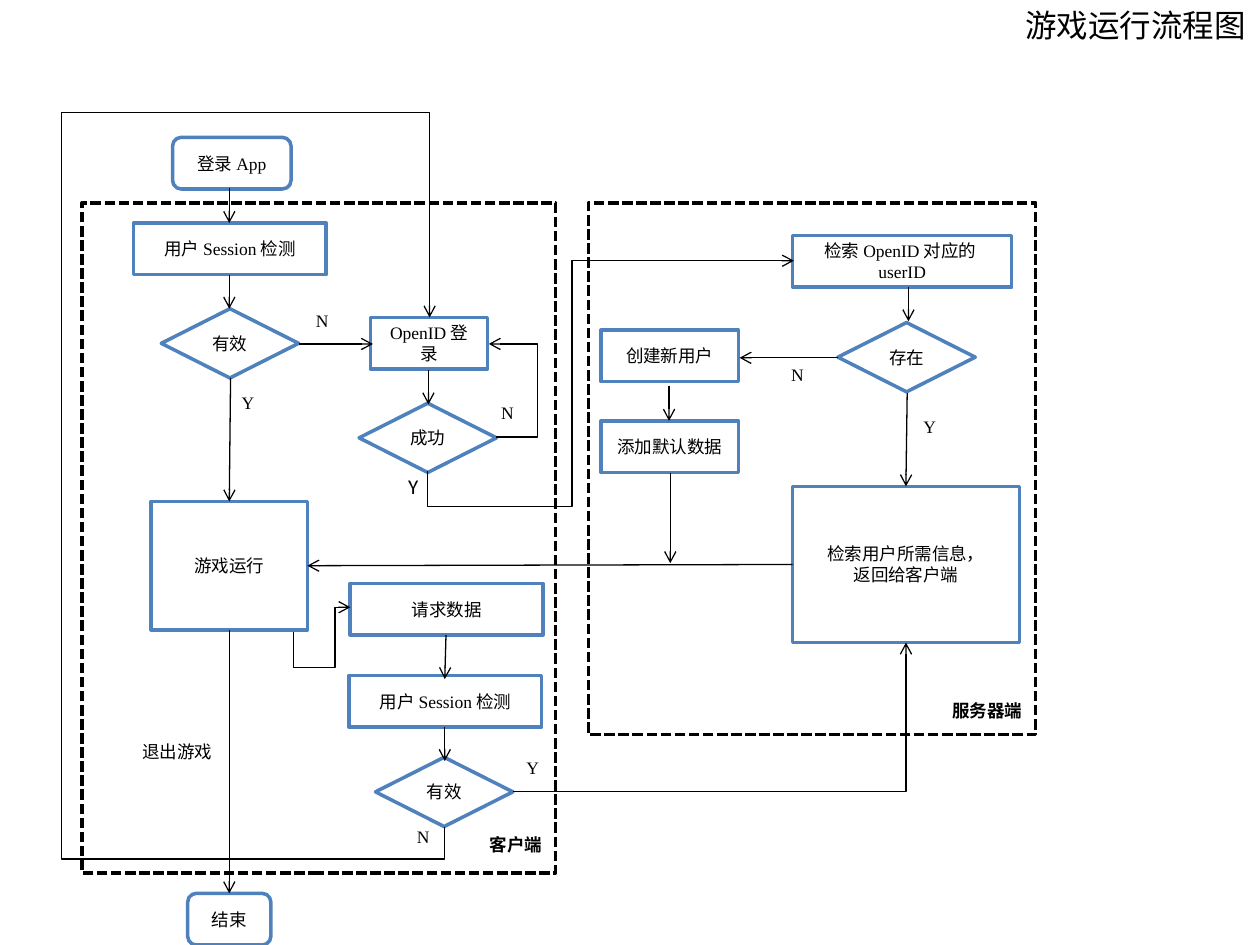
from dataclasses import dataclass
from itertools import groupby

from lxml import etree
from pptx import Presentation, util as u
from pptx.dml.color import RGBColor
from pptx.enum import dml, shapes, text
from pptx.oxml.ns import qn

COLS, ROWS = 100, 75
SHAPE = shapes.MSO_SHAPE


@dataclass(frozen=True)
class Theme:
    ink: RGBColor = RGBColor(0, 0, 0)
    paper: RGBColor = RGBColor(255, 255, 255)
    accent: RGBColor = RGBColor(0x4F, 0x81, 0xBD)
    body: str = "Calibri"
    latin: str = "Times New Roman"
    cjk: str = "Noto Sans CJK SC"
    title_size: float = 18
    label_size: float = 12
    node_size: float = 10
    outline: float = 2
    flow: float = 0.75


def write(tf, content, *, color, size, cjk, latin, align=None, bold=None):
    """Fill a text frame, giving Latin and Chinese runs their own fonts."""
    for i, line in enumerate(content.split("\n")):
        p = tf.add_paragraph() if i else tf.paragraphs[0]
        p.alignment = align
        for is_latin, chars in groupby(line, str.isascii):
            r = p.add_run()
            r.text = "".join(chars)
            r.font.name = latin if is_latin else cjk
            r.font.size = u.Pt(size)
            r.font.bold = bold
            r.font.color.rgb = color


class FlowChart:
    """Draws on one slide; all lengths are in columns and rows of the grid."""

    def __init__(self, prs, theme):
        self.theme = theme
        self.s = prs.slides.add_slide(prs.slide_layouts[6])
        self.col = prs.slide_width / COLS
        self.row = prs.slide_height / ROWS

    def place(self, x, y, w, h):
        return [round(v) for v in (x * self.col, y * self.row, w * self.col, h * self.row)]

    def shape(self, kind, box, color):
        sp = self.s.shapes.add_shape(kind, *self.place(*box))
        sp.shadow.inherit = False
        sp.fill.solid()
        sp.fill.fore_color.rgb = self.theme.paper
        sp.line.color.rgb = color
        sp.line.width = u.Pt(self.theme.outline)
        return sp

    def frame(self, *box):
        sp = self.shape(SHAPE.RECTANGLE, box, self.theme.ink)
        sp.line.dash_style = dml.MSO_LINE.SQUARE_DOT

    def node(self, content, x, y, w, h=4.1, kind=SHAPE.RECTANGLE, cjk=None):
        t = self.theme
        sp = self.shape(kind, (x, y, w, h), t.accent)
        sp.text_frame.word_wrap = True
        sp.text_frame.vertical_anchor = text.MSO_ANCHOR.MIDDLE
        write(sp.text_frame, content, color=t.ink, size=t.node_size,
              cjk=cjk or t.cjk, latin=t.latin, align=text.PP_ALIGN.CENTER)

    def decision(self, content, x, y):
        self.node(content, x, y, 10.9, 5.5, SHAPE.FLOWCHART_DECISION)

    def terminal(self, content, x, y, w, cjk=None):
        self.node(content, x, y, w, kind=SHAPE.ROUNDED_RECTANGLE, cjk=cjk)

    def label(self, content, x, y, w=3, h=2.7, size=None, latin=None, bold=None, wrap=False):
        t = self.theme
        tf = self.s.shapes.add_textbox(*self.place(x, y, w, h)).text_frame
        tf.word_wrap = wrap
        tf.auto_size = text.MSO_AUTO_SIZE.SHAPE_TO_FIT_TEXT
        write(tf, content, color=t.ink, size=size or t.node_size, cjk=t.body,
              latin=latin or t.latin, bold=bold)

    def connector(self, kind, x1, y1, x2, y2):
        c = self.s.shapes.add_connector(kind, *self.place(x1, y1, x2, y2))
        c.line.color.rgb = self.theme.ink
        c.line.width = u.Pt(self.theme.flow)
        etree.SubElement(c.line._get_or_add_ln(), qn("a:tailEnd"), type="arrow")
        etree.SubElement(c._element.spPr, qn("a:effectLst"))
        return c

    def arrow(self, *ends):
        self.connector(shapes.MSO_CONNECTOR.STRAIGHT, *ends)

    def elbow(self, start, *bends, end):
        """Right-angled arrow; its preset and adjustments follow from the bends."""
        axis = 0 if bends[0][1] == start[1] else 1
        dx, dy = end[0] - start[0], end[1] - start[1]
        along, across = (dy, -dx) if axis else (dx, dy)
        w, h = abs(along), abs(across)
        left, top = (start[0] + end[0] - w) / 2, (start[1] + end[1] - h) / 2
        c = self.connector(shapes.MSO_CONNECTOR.ELBOW, left, top, left + w, top + h)
        pr = c._element.spPr
        xfrm, geom = pr.find(qn("a:xfrm")), pr.find(qn("a:prstGeom"))
        xfrm.set("rot", str(axis * 90 * 60000))
        xfrm.set("flipH", str(int(along < 0)))
        xfrm.set("flipV", str(int(across < 0)))
        geom.set("prst", f"bentConnector{len(bends) + 1}")
        for i, bend in enumerate(bends[:-1]):
            k = (axis + i) % 2
            share = (bend[k] - start[k]) / (end[k] - start[k])
            etree.SubElement(geom.find(qn("a:avLst")), qn("a:gd"),
                             name=f"adj{i + 1}", fmla=f"val {round(share * 100000)}")


def draw_client(chart, theme):
    chart.frame(6.5, 16.1, 37.6, 53.2)
    chart.terminal("登录App", 13.7, 10.9, 9.4, cjk=theme.body)
    chart.node("用户Session检测", 10.6, 17.7, 15.3, cjk=theme.body)
    chart.decision("有效", 12.8, 24.5)
    chart.node("游戏运行", 12, 39.8, 12.4, 10.2)
    chart.terminal("结束", 14.9, 70.9, 6.6)
    chart.node("OpenID登录", 29.4, 25.2, 9.3)
    chart.decision("成功", 28.5, 32)
    chart.node("请求数据", 27.8, 46.3, 15.3)
    chart.node("用户Session检测", 27.7, 53.6, 15.3)
    chart.decision("有效", 29.8, 60.1)
    chart.label("Y", 18.2, 30.6)
    chart.label("N", 24.1, 24.1)
    chart.label("N", 38.8, 31.4)
    chart.label("Y", 31.4, 37.1, 2.8, 3, size=theme.label_size, latin=theme.body)
    chart.label("N", 32.1, 65.1)
    chart.label("Y", 40.8, 59.6)
    chart.label("退出游戏", 10.3, 58.3, 7.5)
    chart.label("客户端", 37.9, 65.7, 6.5, bold=True)


def draw_server(chart):
    chart.frame(46.7, 16.1, 35.5, 42.2)
    chart.node("检索OpenID对应的userID", 62.9, 18.7, 17.4)
    chart.decision("存在", 66.5, 25.6)
    chart.node("检索用户所需信息，\n返回给客户端", 62.9, 38.6, 18, 12.4)
    chart.node("创建新用户", 47.7, 26.2, 10.9)
    chart.node("添加默认数据", 47.7, 33.4, 10.9)
    chart.label("Y", 72.3, 32.5)
    chart.label("N", 61.8, 28.4)
    chart.label("服务器端", 74.6, 55.1, 9, bold=True, wrap=True)


def draw_flow(chart):
    for ends in (
        (18.2, 14.9, 18.2, 17.7), (18.2, 21.8, 18.2, 24.5), (18.3, 30, 18.2, 39.8),
        (18.2, 50, 18.2, 70.9), (23.7, 27.3, 29.6, 27.3), (34, 29.4, 34, 32.1),
        (35.4, 50.4, 35.3, 53.9), (35.3, 57.7, 35.3, 60.4), (72.1, 22.8, 72.1, 25.5),
        (72, 31.2, 71.9, 38.6), (66.5, 28.4, 58.7, 28.4), (53.1, 30.6, 53.1, 33.4),
        (53.2, 37.5, 53.2, 44.7), (62.9, 44.8, 24.4, 44.9),
    ):
        chart.arrow(*ends)
    chart.elbow((39.4, 34.7), (42.7, 34.7), (42.7, 27.3), end=(38.8, 27.3))
    chart.elbow((23.3, 50.2), (23.3, 53), (26.6, 53), (26.6, 48.2), end=(27.8, 48.2))
    chart.elbow((35.3, 65.6), (35.3, 68.2), (4.9, 68.2), (4.9, 8.9), (34.1, 8.9), end=(34.1, 25.2))
    chart.elbow((40.7, 62.8), (71.9, 62.8), end=(71.9, 51))
    chart.elbow((33.9, 37.4), (33.9, 40.2), (45.4, 40.2), (45.4, 20.7), end=(63, 20.7))


def main():
    prs = Presentation()
    prs.slide_width, prs.slide_height = u.Inches(10), u.Inches(7.5)
    theme = Theme()
    chart = FlowChart(prs, theme)
    chart.label("游戏运行流程图", 80.4, 0, 19.5, 4, size=theme.title_size)
    draw_client(chart, theme)
    draw_server(chart)
    draw_flow(chart)
    prs.save("out.pptx")


if __name__ == "__main__":
    main()
